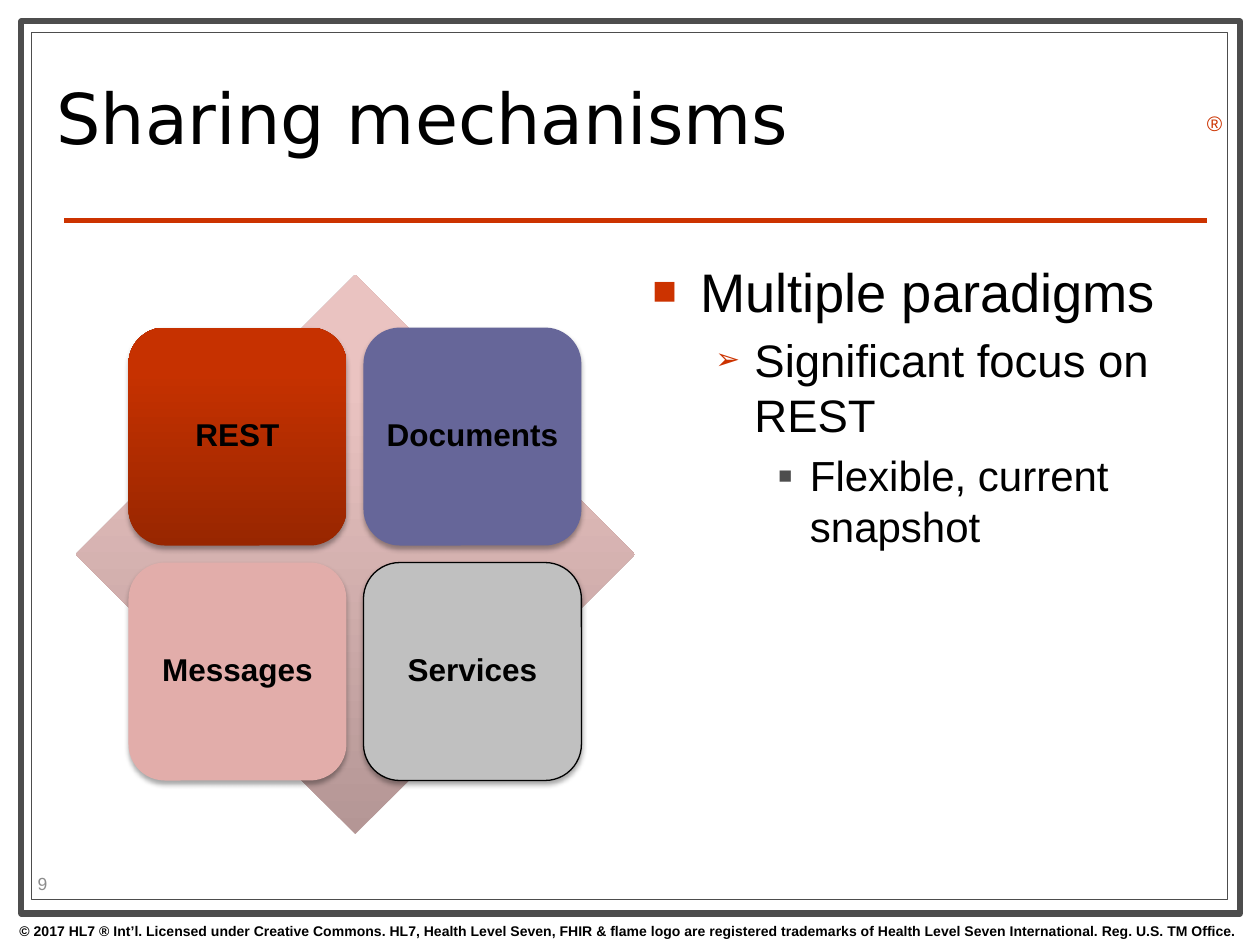
from copy import deepcopy

from lxml import etree
from pptx import Presentation
from pptx.dml.color import RGBColor
from pptx.enum.shapes import MSO_CONNECTOR, MSO_SHAPE
from pptx.enum.text import MSO_ANCHOR, PP_ALIGN
from pptx.oxml.ns import qn
from pptx.util import Inches, Pt

CENTER, LEFT = PP_ALIGN.CENTER, PP_ALIGN.LEFT
MIDDLE, TOP = MSO_ANCHOR.MIDDLE, MSO_ANCHOR.TOP
RECTANGLE, DIAMOND = MSO_SHAPE.RECTANGLE, MSO_SHAPE.DIAMOND
ROUNDED = MSO_SHAPE.ROUNDED_RECTANGLE
STRAIGHT = MSO_CONNECTOR.STRAIGHT

BLACK, WHITE, GRAY, RED = "000000", "FFFFFF", "4D4D4D", "CC3300"
COPYRIGHT = (
    "© 2017 HL7 ® Int’l. Licensed under Creative Commons. HL7, Health Level Seven, "
    "FHIR & flame logo are registered trademarks of Health Level Seven International. "
    "Reg. U.S. TM Office."
)

# Mechanism name, fill (one colour or gradient stops), line colour
TILES = [
    ("REST", [(0, "982600"), (0.8, "C63100"), (1, "C73200")], None),
    ("Documents", "666699", None),
    ("Messages", "E2ADAA", None),
    ("Services", "C0C0C0", BLACK),
]
DIAMOND_STOPS = [(0, "B49695"), (0.8, "EAC3C1"), (1, "ECC3C1")]

# Text, size, indent, hanging, bullet, bullet colour, bullet size in percent
BULLETS = [
    ("Multiple paradigms", 31, 0.38, 0.38, "■", RED, 75),
    ("Significant focus on REST", 26, 0.81, 0.31, "➢", RED, 65),
    ("Flexible, current snapshot", 24, 1.25, 0.25, "■", GRAY, 55),
]


def rgb(value):
    return RGBColor.from_string(value)


def add_child(parent, tag, **attributes):
    child = etree.SubElement(parent, qn(tag))
    for name, value in attributes.items():
        child.set(name, str(value))
    return child


def set_fill(shape, fill):
    if isinstance(fill, str):
        shape.fill.solid()
        shape.fill.fore_color.rgb = rgb(fill)
        return
    shape.fill.gradient()
    shape.fill.gradient_angle = 90
    stop_list = shape._element.spPr.find(".//" + qn("a:gsLst"))
    while len(stop_list) < len(fill):
        stop_list.append(deepcopy(stop_list[-1]))
    for stop, (position, color) in zip(shape.fill.gradient_stops, fill):
        stop.position = position
        stop.color.rgb = rgb(color)


def add_shape(slide, kind, bounds, fill, line=None, width=0.75):
    shape = slide.shapes.add_shape(kind, *map(Inches, bounds))
    shape.shadow.inherit = False
    set_fill(shape, fill)
    if line:
        shape.line.color.rgb = rgb(line)
        shape.line.width = Pt(width)
    else:
        shape.line.fill.background()
    return shape


def add_shadow(shape):
    effects = shape._element.spPr.find(qn("a:effectLst"))
    shadow = add_child(effects, "a:outerShdw", blurRad=Pt(3.1), dist=Pt(1.8),
                       dir=5400000, rotWithShape=0)
    color = add_child(shadow, "a:srgbClr", val=BLACK)
    add_child(color, "a:alpha", val=35000)


def style_font(para, size, color=BLACK, name="Arial", bold=False):
    para.font.size = Pt(size)
    para.font.color.rgb = rgb(color)
    para.font.name = name
    para.font.bold = bold


def add_text(slide, bounds, text, size, color=BLACK, name="Arial", bold=False,
             align=LEFT, anchor=TOP, wrap=True):
    box = slide.shapes.add_textbox(*map(Inches, bounds))
    frame = box.text_frame
    frame.word_wrap = wrap
    frame.vertical_anchor = anchor
    para = frame.paragraphs[0]
    para.text = text
    para.alignment = align
    style_font(para, size, color, name, bold)
    return para


def add_line(slide, start, end, color, width):
    line = slide.shapes.add_connector(STRAIGHT, *map(Inches, start + end))
    line.line.color.rgb = rgb(color)
    line.line.width = Pt(width)
    add_child(line._element.spPr, "a:effectLst")


def add_bullets(slide, bounds):
    frame = slide.shapes.add_textbox(*map(Inches, bounds)).text_frame
    frame.word_wrap = True
    for level, (text, size, indent, hanging, mark, color, percent) in enumerate(BULLETS):
        para = frame.add_paragraph() if level else frame.paragraphs[0]
        para.text = text
        para.level = level
        if level:
            para.space_before = Pt(size * 0.2)
        properties = para._p.get_or_add_pPr()
        properties.set("marL", str(Inches(indent)))
        properties.set("indent", str(-Inches(hanging)))
        bullet_color = add_child(properties, "a:buClr")
        add_child(bullet_color, "a:srgbClr", val=color)
        add_child(properties, "a:buSzPct", val=percent * 1000)
        add_child(properties, "a:buFont", typeface="Arial")
        add_child(properties, "a:buChar", char=mark)
        style_font(para, size)


def add_tile(slide, left, top, side, label, fill, line):
    tile = add_shape(slide, ROUNDED, (left, top, side, side), fill, line)
    add_shadow(tile)
    frame = tile.text_frame
    frame.word_wrap = True
    frame.vertical_anchor = MIDDLE
    frame.margin_left = frame.margin_right = Inches(0.07)
    frame.margin_top = frame.margin_bottom = Inches(0.07)
    para = frame.paragraphs[0]
    para.text = label
    para.alignment = CENTER
    para.line_spacing = 0.9
    style_font(para, 18, bold=True)


def add_matrix(slide):
    add_shape(slide, DIAMOND, (0.6, 2.18, 4.44, 4.44), DIAMOND_STOPS)
    left, top, side, pitch = 1.02, 2.6, 1.73, 1.865
    for index, (label, fill, line) in enumerate(TILES):
        row, column = divmod(index, 2)
        add_tile(slide, left + column * pitch, top + row * pitch, side,
                 label, fill, line)


def main():
    deck = Presentation()
    deck.slide_width, deck.slide_height = Inches(10), Inches(7.5)
    slide = deck.slides.add_slide(deck.slide_layouts[6])

    # Double frame, title rule and footer
    add_shape(slide, RECTANGLE, (0.17, 0.17, 9.67, 7.08), WHITE, GRAY, 3.5)
    add_shape(slide, RECTANGLE, (0.25, 0.26, 9.49, 6.88), WHITE, GRAY)
    add_line(slide, (0.51, 1.75), (9.58, 1.75), RED, 3)
    add_text(slide, (-0.01, 7.27, 10, 0.23), COPYRIGHT, 8, bold=True, align=CENTER)
    add_text(slide, (9.48, 0.83, 0.31, 0.3), "®", 12, RED, wrap=False)

    # Title, bullets and page number
    title = add_text(slide, (0.35, 0.36, 7.17, 1.26), "Sharing mechanisms", 40,
                     name="DejaVu Sans", anchor=MIDDLE)
    title.line_spacing = 0.8
    add_bullets(slide, (5.08, 2, 4.5, 5.06))
    add_text(slide, (0.2, 6.89, 0.79, 0.24), "9", 10, "8C8C8C", anchor=MIDDLE)

    # Four mechanisms on a diamond
    add_matrix(slide)

    deck.save("out.pptx")


if __name__ == "__main__":
    main()
